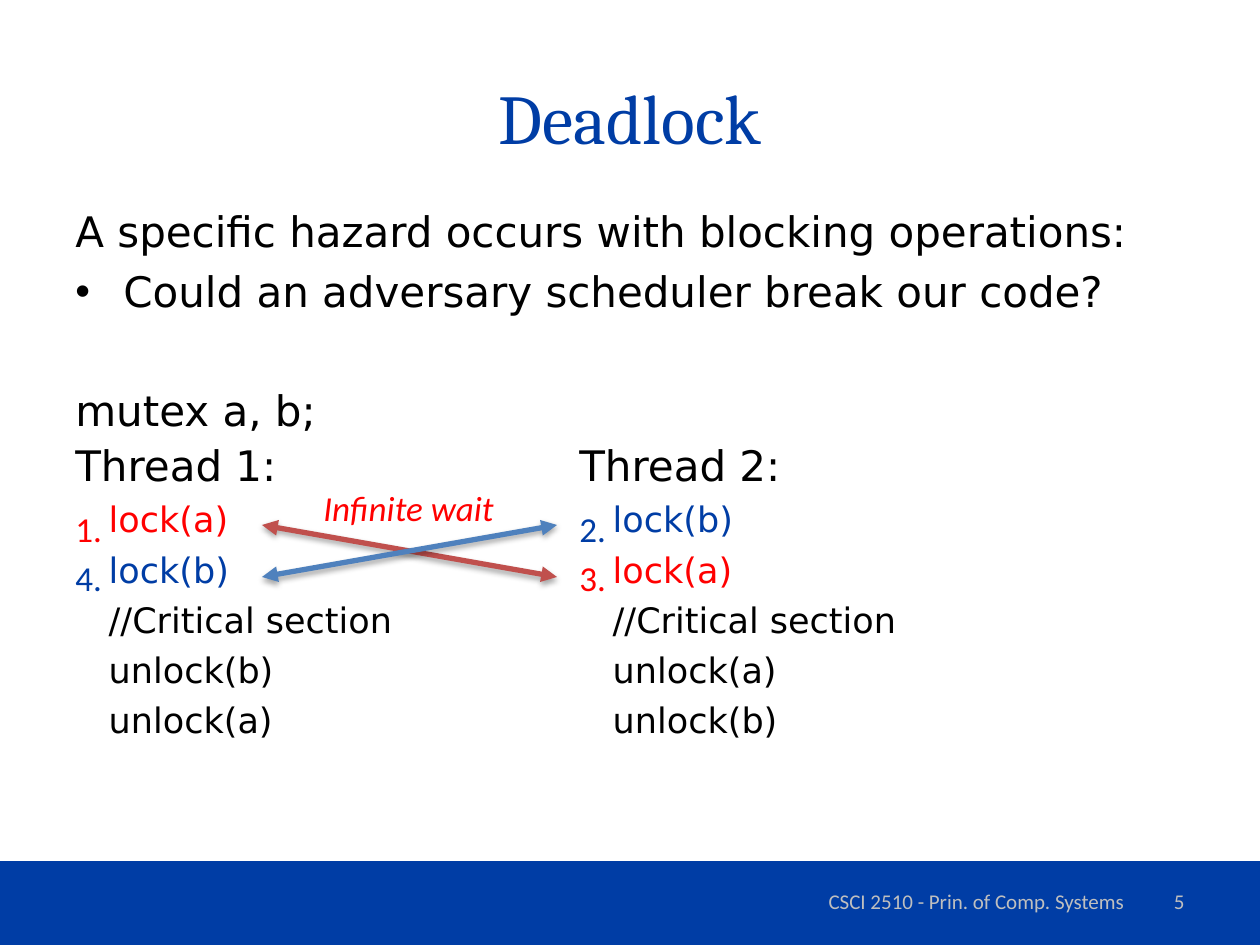
from lxml.etree import SubElement
from pptx import Presentation
from pptx.dml.color import RGBColor
from pptx.enum.shapes import MSO_CONNECTOR, MSO_SHAPE
from pptx.enum.text import MSO_ANCHOR, PP_ALIGN
from pptx.oxml.ns import qn
from pptx.util import Emu, Pt

BLUE, RED, BLACK, GREY = "003DA5", "FF0000", "000000", "BFBFBF"
BODY, SANS, SERIF = "DejaVu Sans", "Calibri", "Cambria"


def px(n):
    return Emu(round(n * 914400 / 126))


def color(code):
    return RGBColor.from_string(code)


def node(parent, tag, **attrs):
    return SubElement(parent, qn(tag), {k: str(v) for k, v in attrs.items()})


def frame(slide, box, wrap=True, anchor=MSO_ANCHOR.TOP):
    text = slide.shapes.add_textbox(*map(px, box)).text_frame
    text.word_wrap = wrap
    text.vertical_anchor = anchor
    return text


def write(text, words, size, font, ink=BLACK, align=PP_ALIGN.LEFT,
          before=0, line=None, italic=False, bullet=False):
    para = text.paragraphs[0]
    if para.runs:
        para = text.add_paragraph()
    para.alignment = align
    para.space_before = Pt(before)
    if line:
        para.line_spacing = Pt(line)
    if bullet:
        props = para._p.get_or_add_pPr()
        props.set("marL", str(px(48)))
        props.set("indent", str(-px(48)))
        node(props, "a:buFont", typeface="Arial")
        node(props, "a:buChar", char="•")
    run = para.add_run()
    run.text = words
    run.font.size = Pt(size)
    run.font.name = font
    run.font.italic = italic
    run.font.color.rgb = color(ink)


def title(slide, box):
    text = frame(slide, box, anchor=MSO_ANCHOR.MIDDLE)
    write(text, "Deadlock", 40, SERIF, BLUE, PP_ALIGN.CENTER)


def intro(slide, box):
    text = frame(slide, box)
    write(text, "A specific hazard occurs with blocking operations:", 24, BODY)
    write(text, "Could an adversary scheduler break our code?", 24, BODY,
          before=5.6, bullet=True)
    write(text, "mutex a, b;", 24, BODY, before=39.1)


def thread(slide, box, name, locks, steps):
    left, top, width, height = box
    text = frame(slide, box)
    write(text, name, 24, BODY)
    marks = frame(slide, (left, top + 61, 52, 108), wrap=False)
    inks = {"a": RED, "b": BLUE}
    for lock, step in zip(locks, steps):
        write(text, f"   lock({lock})", 20, BODY, inks[lock], before=4.7)
        write(marks, f"{step}.", 20, SANS, inks[lock], line=28)
    calls = [f"unlock({lock})" for lock in reversed(locks)]
    for call in ["//Critical section"] + calls:
        write(text, f"   {call}", 20, BODY, before=4.7)


def arrow(slide, start, end, ink):
    link = slide.shapes.add_connector(
        MSO_CONNECTOR.STRAIGHT, *map(px, start + end))
    link.line.color.rgb = color(ink)
    link.line.width = Pt(3)
    stroke = link.line._ln
    node(stroke, "a:headEnd", type="triangle")
    node(stroke, "a:tailEnd", type="triangle")
    glow = node(link._element.spPr, "a:effectLst")
    shade = node(glow, "a:outerShdw", blurRad=Pt(3.1), dist=Pt(1.8),
                 dir=5400000, rotWithShape=0)
    tint = node(shade, "a:srgbClr", val=BLACK)
    node(tint, "a:alpha", val=35000)


def cross(slide, box):
    left, top, width, height = box
    right, base = left + width, top + height
    arrow(slide, (left, top), (right, base), "C0504D")
    arrow(slide, (left, base), (right, top), "4F81BD")
    label = frame(slide, (left + 49, top - 45, 198, 55), wrap=False)
    write(label, "Infinite wait", 20, SANS, RED, italic=True)


def footer(slide, box):
    left, top, width, height = box
    bar = slide.shapes.add_shape(MSO_SHAPE.RECTANGLE, *map(px, box))
    bar.shadow.inherit = False
    bar.fill.solid()
    bar.fill.fore_color.rgb = color(BLUE)
    bar.line.fill.background()
    for words, x, wide, align in (
            ("CSCI 2510 - Prin. of Comp. Systems", 777, 399, PP_ALIGN.CENTER),
            ("5", 903, 294, PP_ALIGN.RIGHT)):
        text = frame(slide, (left + x, top + 15, wide, 50),
                     anchor=MSO_ANCHOR.MIDDLE)
        write(text, words, 12, SANS, GREY, align)


def main():
    deck = Presentation()
    deck.slide_width, deck.slide_height = px(1260), px(945)
    slide = deck.slides.add_slide(deck.slide_layouts[6])
    footer(slide, (0, 861, 1260, 84))
    title(slide, (63, 38, 1134, 157))
    intro(slide, (63, 199, 1134, 234))
    thread(slide, (63, 433, 504, 310), "Thread 1:", "ab", (1, 4))
    thread(slide, (567, 433, 504, 310), "Thread 2:", "ba", (2, 3))
    cross(slide, (262, 525, 295, 52))
    deck.save("out.pptx")


if __name__ == "__main__":
    main()
